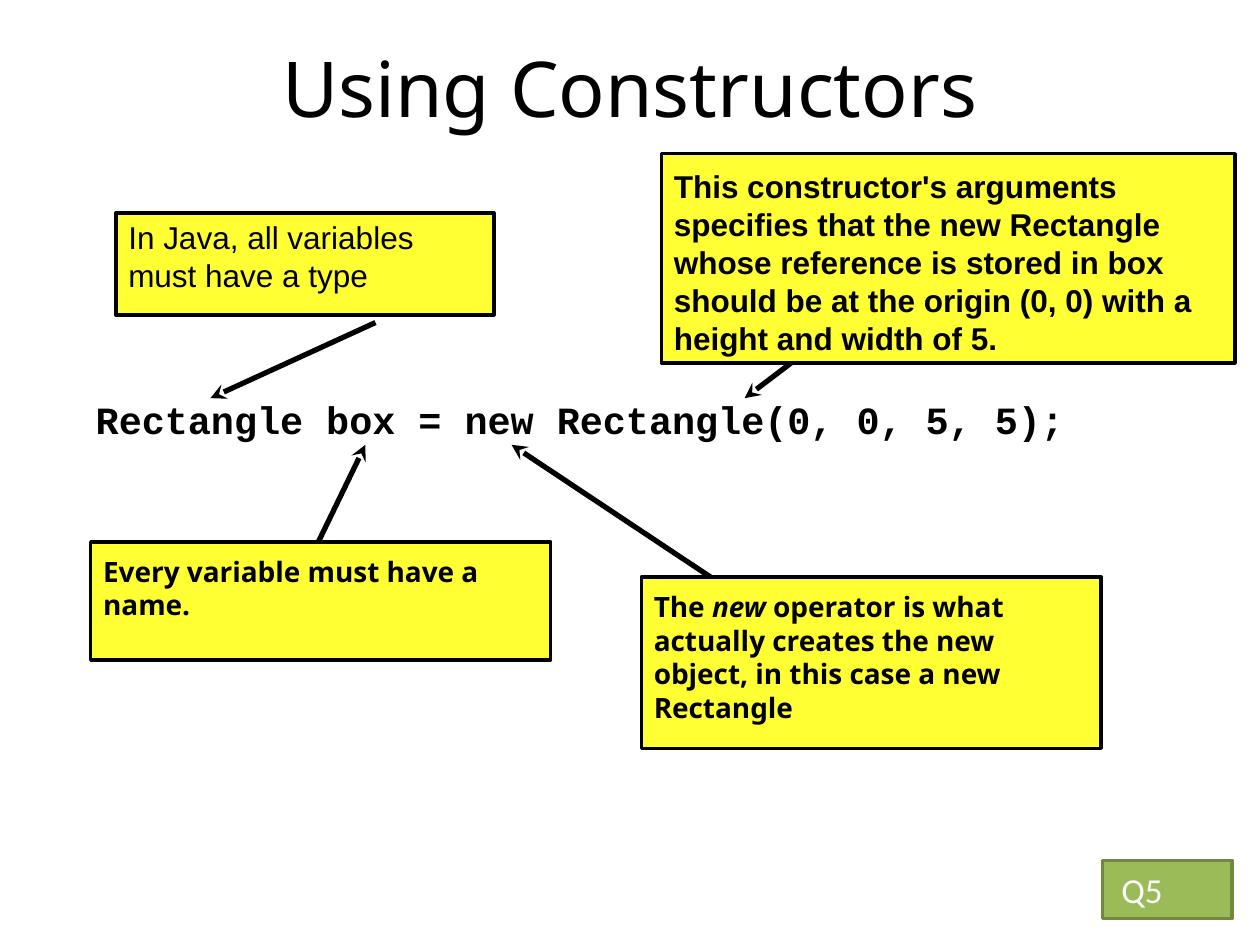
from pptx import Presentation
from pptx.dml.color import RGBColor
from pptx.enum.shapes import MSO_CONNECTOR as Conn, MSO_SHAPE as Kind
from pptx.enum.text import MSO_ANCHOR as Anchor, PP_ALIGN as Align
from pptx.oxml.ns import qn
from pptx.util import Inches, Pt
from lxml.etree import SubElement

BLACK = RGBColor(0x00, 0x00, 0x00)
WHITE = RGBColor(0xFF, 0xFF, 0xFF)
YELLOW = RGBColor(0xFF, 0xFF, 0x33)
GREEN = RGBColor(0x9B, 0xBB, 0x59)
OLIVE = RGBColor(0x71, 0x88, 0x41)

deck = Presentation()
deck.slide_width, deck.slide_height = Inches(10), Inches(7.5)
slide = deck.slides.add_slide(deck.slide_layouts[5])
shapes = slide.shapes


def add_text(area, pads, runs, font, size, bold=False, color=BLACK):
    frame = shapes.add_textbox(*map(Inches, area)).text_frame
    frame.word_wrap = True
    frame.margin_left = frame.margin_right = Inches(pads[0])
    frame.margin_top = frame.margin_bottom = Inches(pads[1])
    for words, slant in runs:
        run = frame.paragraphs[0].add_run()
        run.text = words
        run.font.name, run.font.size = font, Pt(size)
        run.font.bold, run.font.italic = bold, slant
        run.font.color.rgb = color
    return frame


def add_box(area, fill, edge):
    box = shapes.add_shape(Kind.RECTANGLE, *map(Inches, area))
    box.shadow.inherit = False
    box.fill.solid()
    box.fill.fore_color.rgb = fill
    box.line.color.rgb = edge
    box.line.width = Pt(2)


title = shapes.title
title.left, title.top = Inches(0.5), Inches(0.06)
title.width, title.height = Inches(9), Inches(1.25)
title.text_frame.vertical_anchor = Anchor.MIDDLE
head = title.text_frame.paragraphs[0]
head.alignment = Align.CENTER
run = head.add_run()
run.text = "Using Constructors"
run.font.name, run.font.size = "Noto Sans", Pt(44)
run.font.color.rgb = BLACK

code = "Rectangle box = new Rectangle(0, 0, 5, 5);"
add_text((0.72, 3.1, 9.04, 0.99), (0.04, 0.04), [(code, False)],
         "Courier New", 22, True)

notes = [
    ((1.67, 3.16, 2.98, 2.56), (0.92, 1.69, 3, 0.81),
     (0.92, 1.63, 3, 0.81), (0.1, 0.1),
     [("In Java, all variables must have a type", False)],
     "Arial", 18, False),
    ((2.9, 3.53, 2.44, 4.48), (0.72, 4.3, 3.65, 0.94),
     (0.72, 4.3, 3.65, 0.59), (0.1, 0.1),
     [("Every variable must have a name.", False)],
     "Noto Sans", 16, True),
    ((4.06, 3.53, 5.91, 4.76), (5.09, 4.58, 3.65, 1.36),
     (5.09, 4.58, 3.65, 1.28), (0.1, 0.1),
     [("The ", False), ("new", True),
      (" operator is what actually creates the new object, "
       "in this case a new Rectangle", False)],
     "Noto Sans", 16, True),
    ((5.91, 3.16, 6.28, 2.88), (5.25, 1.22, 4.55, 1.66),
     (5.25, 1.28, 4.63, 1.62), (0.1, 0.05),
     [("This constructor's arguments specifies that the new Rectangle "
       "whose reference is stored in box should be at the origin (0, 0) "
       "with a height and width of 5.", False)],
     "Arial", 18, True),
]
for ends, area, place, pads, runs, font, size, bold in notes:
    arrow = shapes.add_connector(Conn.STRAIGHT, *map(Inches, ends))
    arrow.line.color.rgb = BLACK
    arrow.line.width = Pt(3)
    SubElement(arrow.line._get_or_add_ln(), qn("a:headEnd"), type="stealth")
    SubElement(arrow._element.spPr, qn("a:effectLst"))
    add_box(area, YELLOW, BLACK)
    add_text(place, pads, runs, font, size, bold)

add_box((8.75, 6.83, 1.03, 0.46), GREEN, OLIVE)
quiz = add_text((8.78, 6.89, 1.03, 0.34), (0.12, 0), [("Q5", False)],
                "Calibri", 20, color=WHITE)
quiz.vertical_anchor = Anchor.MIDDLE

deck.save("out.pptx")
